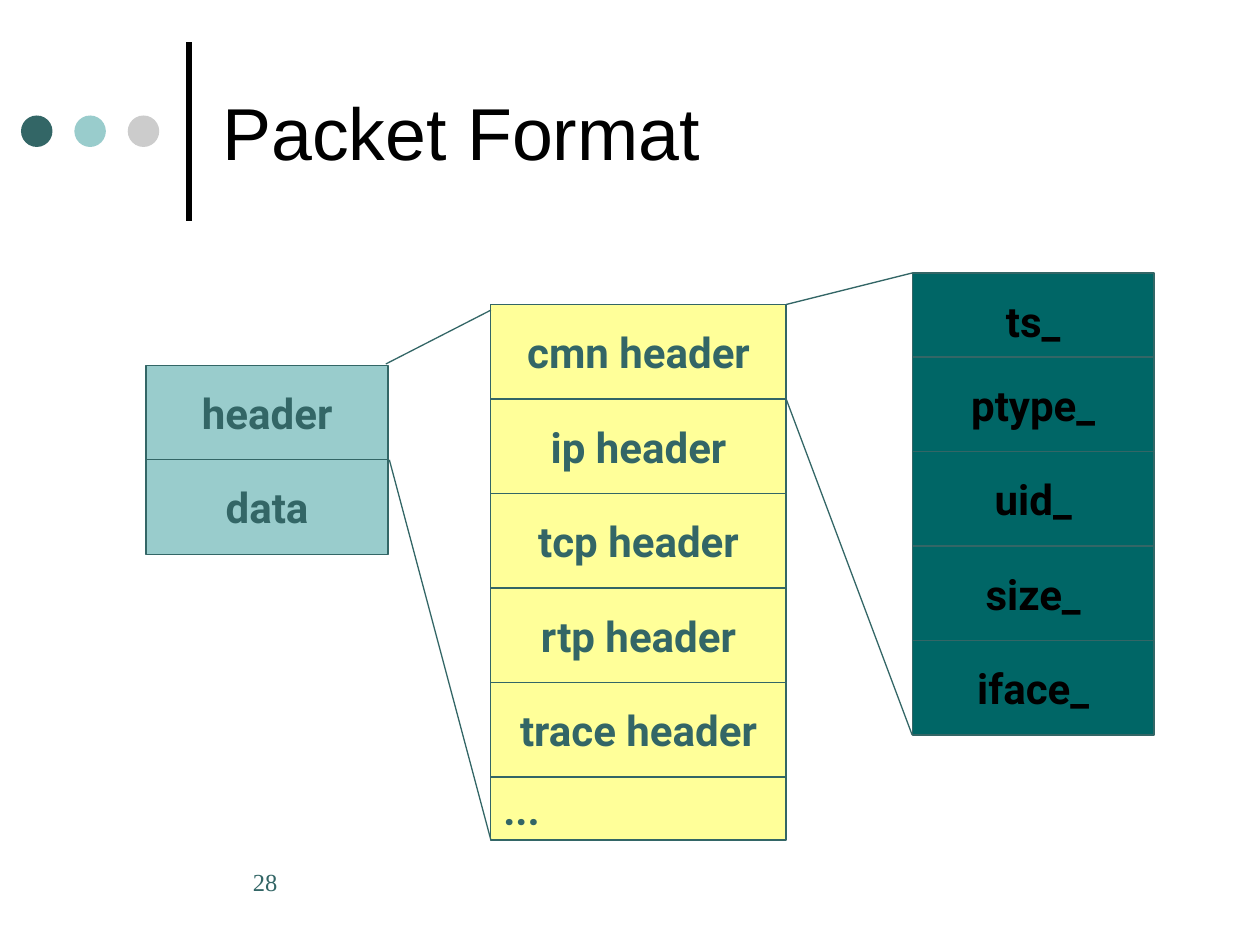
from lxml.etree import SubElement
from pptx import Presentation
from pptx.dml.color import RGBColor
from pptx.enum.shapes import MSO_CONNECTOR as Connector, MSO_SHAPE as Shape
from pptx.enum.text import MSO_ANCHOR as Anchor, PP_ALIGN as Align
from pptx.oxml.ns import qn
from pptx.util import Pt

BLACK = RGBColor(0x00, 0x00, 0x00)
WHITE = RGBColor(0xFF, 0xFF, 0xFF)
PINE = RGBColor(0x33, 0x66, 0x66)
AQUA = RGBColor(0x99, 0xCC, 0xCC)
GRAY = RGBColor(0xCC, 0xCC, 0xCC)
YELLOW = RGBColor(0xFF, 0xFF, 0x99)
TEAL = RGBColor(0x00, 0x66, 0x66)

CELL_HEIGHT = 54
FRAME = {"margin_left": Pt(7.2), "margin_right": Pt(7.2),
         "margin_top": Pt(3.6), "margin_bottom": Pt(3.6)}
TITLE_FONT = {"name": "Arial", "size": Pt(42)}
CELL_FONT = {"name": "Roboto", "size": Pt(24), "bold": True}
NUMBER_FONT = {"name": "Times New Roman", "size": Pt(14)}


def apply(target, values):
    for name, value in values.items():
        setattr(target, name, value)


class SlidePainter:
    """Holds the line style and the page being drawn."""

    def __init__(self, page, line_color, line_width):
        self.page = page
        self.line_color = line_color
        self.line_width = line_width

    def label(self, shape, text, font, color, align=Align.LEFT, **frame_values):
        frame = shape.text_frame
        apply(frame, FRAME | frame_values)
        para = frame.paragraphs[0]
        para.alignment = align
        span = para.add_run()
        span.text = text
        apply(span.font, font)
        span.font.color.rgb = color

    def text(self, area, text, font, color, **frame_values):
        box = self.page.shapes.add_textbox(*map(Pt, area))
        self.label(box, text, font, color, word_wrap=True, **frame_values)

    def shape(self, kind, area, fill):
        shape = self.page.shapes.add_shape(kind, *map(Pt, area))
        shape.shadow.inherit = False
        shape.fill.solid()
        shape.fill.fore_color.rgb = fill
        return shape

    def dot(self, area, fill):
        self.shape(Shape.OVAL, area, fill).line.fill.background()

    def cell(self, area, fill, text, color, align=Align.CENTER, **frame_values):
        box = self.shape(Shape.RECTANGLE, area, fill)
        box.line.color.rgb = self.line_color
        box.line.width = Pt(self.line_width)
        values = {"vertical_anchor": Anchor.MIDDLE, "word_wrap": False} | frame_values
        self.label(box, text, CELL_FONT, color, align, **values)

    def stack(self, left, top, width, labels, fill, color):
        """Draws equal cells downwards and returns the bottom of the last."""
        for label in labels:
            self.cell((left, top, width, CELL_HEIGHT), fill, label, color)
            top += CELL_HEIGHT
        return top

    def line(self, start, end, color=None, width=None):
        line = self.page.shapes.add_connector(Connector.STRAIGHT, *map(Pt, start + end))
        line.line.color.rgb = color or self.line_color
        line.line.width = Pt(width or self.line_width)
        SubElement(line._element.spPr, qn("a:effectLst"))


def main():
    deck = Presentation()
    deck.slide_width, deck.slide_height = Pt(720), Pt(540)
    page = deck.slides.add_slide(deck.slide_layouts[6])
    page.background.fill.solid()
    page.background.fill.fore_color.rgb = WHITE
    painter = SlidePainter(page, PINE, 0.75)

    painter.line((108, 126), (108, 24), BLACK, 3)
    for index, color in enumerate((PINE, AQUA, GRAY)):
        painter.dot((12 + 30.5 * index, 66, 18, 18), color)
    painter.text((120, 15, 552, 120), "Packet Format", TITLE_FONT, BLACK,
                 vertical_anchor=Anchor.MIDDLE)

    packet_left, packet_top, side_width = 83.5, 208.75, 138.25
    painter.stack(packet_left, packet_top, side_width, ("header", "data"), AQUA, PINE)

    header_left, header_top, header_width = 280.5, 174, 168.75
    headers = [f"{name} header" for name in ("cmn", "ip", "tcp", "rtp", "trace")]
    rest_top = painter.stack(header_left, header_top, header_width, headers, YELLOW, PINE)
    rest_height = 36
    painter.cell((header_left, rest_top, header_width, rest_height), YELLOW, "...", PINE,
                 Align.LEFT, vertical_anchor=Anchor.TOP, word_wrap=True)

    # The second field overlaps the foot of the first.
    field_left, field_top, overlap = 521.25, 156, 6
    first_bottom = painter.stack(field_left, field_top, side_width, ["ts_"], TEAL, BLACK)
    field_bottom = painter.stack(field_left, first_bottom - overlap, side_width,
                                 ("ptype_", "uid_", "size_", "iface_"), TEAL, BLACK)

    painter.line((220.5, 208), (header_left, 177.25))
    painter.line((222.5, packet_top + CELL_HEIGHT), (header_left, rest_top + rest_height))
    header_right = header_left + header_width
    painter.line((header_right, header_top), (field_left, field_top))
    painter.line((header_right, header_top + CELL_HEIGHT), (field_left, field_bottom))

    painter.text((120, 492, 102, 36), "28", NUMBER_FONT, PINE, margin_left=Pt(24.5))
    deck.save("out.pptx")


if __name__ == "__main__":
    main()
